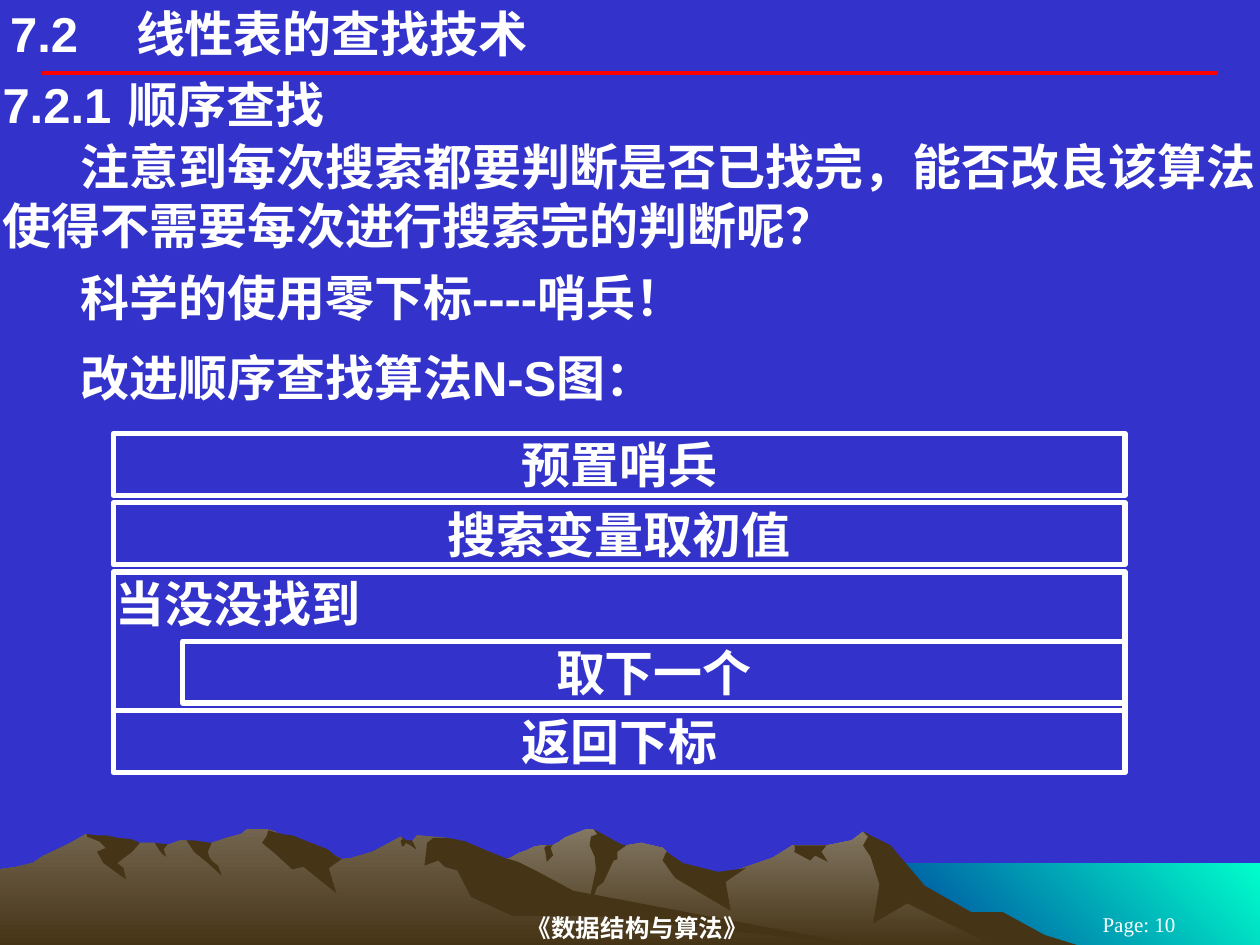
from dataclasses import dataclass

from lxml import etree
from pptx import Presentation
from pptx.dml.color import RGBColor
from pptx.enum.shapes import MSO_CONNECTOR, MSO_SHAPE
from pptx.enum.text import MSO_ANCHOR, MSO_AUTO_SIZE, PP_ALIGN
from pptx.oxml.ns import qn
from pptx.util import Inches, Pt

LEFT, CENTER = PP_ALIGN.LEFT, PP_ALIGN.CENTER
TOP, MIDDLE = MSO_ANCHOR.TOP, MSO_ANCHOR.MIDDLE
RECT, STRAIGHT = MSO_SHAPE.RECTANGLE, MSO_CONNECTOR.STRAIGHT
FIXED = MSO_AUTO_SIZE.NONE


@dataclass(frozen=True)
class Theme:
    back: str = "3333CC"
    text: str = "FFFFFF"
    rule: str = "FF0000"
    dark: str = "463416"
    far: tuple = ("837763", "463416")
    near: tuple = ("72644E", "463416")
    sea: tuple = ("00FFCC", "003399")
    sans: str = "Arial"
    serif: str = "Times New Roman"
    main: int = 28
    foot: int = 14
    page: int = 12


def rgb(code):
    return RGBColor.from_string(code)


class Deck:
    def __init__(self, theme):
        self.theme = theme
        self.file = Presentation()
        self.file.slide_width, self.file.slide_height = Inches(10), Inches(7.5)
        self.slide = self.file.slides.add_slide(self.file.slide_layouts[1])
        self.shapes = self.slide.shapes
        fill = self.slide.background.fill
        fill.solid()
        fill.fore_color.rgb = rgb(theme.back)

    def frame(self, shape, inset=(0.02, 0.01), anchor=TOP):
        frame = shape.text_frame
        frame.word_wrap = True
        frame.auto_size = FIXED
        frame.vertical_anchor = anchor
        frame.margin_left = frame.margin_right = Inches(inset[0])
        frame.margin_top = frame.margin_bottom = Inches(inset[1])
        return frame

    def style(self, para, text, align=LEFT, size=None, face=None, bold=True,
              before=0, indent=0, tab=None):
        para.text = text
        para.alignment = align
        para.line_spacing = 1.0
        para.space_before = Pt(before)
        props = para._p.get_or_add_pPr()
        props.set("marL", "0")
        props.set("indent", str(Inches(indent)))
        etree.SubElement(props, qn("a:buNone"))
        if tab:
            stops = etree.SubElement(props, qn("a:tabLst"))
            etree.SubElement(stops, qn("a:tab"), pos=str(Inches(tab)), algn="l")
        font = para.font
        font.size = Pt(size or self.theme.main)
        font.name = face or self.theme.sans
        font.bold = bold
        font.color.rgb = rgb(self.theme.text)

    def place(self, shape, *box):
        shape.left, shape.top, shape.width, shape.height = map(Inches, box)

    def title(self, text, box, tab):
        shape = self.shapes.title
        self.place(shape, *box)
        self.style(self.frame(shape, (0, 0)).paragraphs[0], text, tab=tab)

    def body(self, items, box):
        shape = self.slide.placeholders[1]
        self.place(shape, *box)
        frame = self.frame(shape)
        for i, (text, look) in enumerate(items):
            para = frame.add_paragraph() if i else frame.paragraphs[0]
            self.style(para, text, **look)

    def label(self, text, box, size, bold):
        shape = self.shapes.add_textbox(*map(Inches, box))
        frame = self.frame(shape, (0, 0.01), MIDDLE)
        self.style(frame.paragraphs[0], text, CENTER, size, self.theme.serif, bold)

    def block(self, text, box, align=CENTER):
        shape = self.shapes.add_shape(RECT, *map(Inches, box))
        shape.shadow.inherit = False
        shape.fill.background()
        shape.line.color.rgb = rgb(self.theme.text)
        shape.line.width = Pt(3)
        self.style(self.frame(shape).paragraphs[0], text, align)

    def rule(self, x1, x2, y):
        line = self.shapes.add_connector(STRAIGHT, *map(Inches, (x1, y, x2, y)))
        line.line.color.rgb = rgb(self.theme.rule)
        line.line.width = Pt(2.25)
        etree.SubElement(line._element.spPr, qn("a:effectLst"))

    def patch(self, points, paint, angle=270):
        """Outline in hundredths of an inch; two colours make a gradient."""
        pairs = [tuple(map(int, p.split(","))) for p in points.split()]
        form = self.shapes.build_freeform(*pairs[0], scale=Inches(0.01))
        form.add_line_segments(pairs[1:], close=True)
        shape = form.convert_to_shape()
        shape.shadow.inherit = False
        shape.line.fill.background()
        if isinstance(paint, str):
            shape.fill.solid()
            shape.fill.fore_color.rgb = rgb(paint)
        else:
            shape.fill.gradient()
            shape.fill.gradient_angle = angle
            for stop, code, spot in zip(shape.fill.gradient_stops, paint, (0, 1)):
                stop.color.rgb = rgb(code)
                stop.position = spot


SEA = "1000,752 683,752 683,685 1000,685"
FAR = """802,740 778,727 764,723 723,698 702,671 685,660 676,667 656,671 629,671
 613,681 566,697 536,690 529,676 526,673 509,669 497,671 486,673 474,661 471,658
 465,658 450,664 448,665 444,668 438,671 430,671 424,672 418,675 412,677 405,681
 399,683 394,685 355,698 327,709 277,739 258,751 821,751"""
FAR_SHADE = [
    """796,724 771,724 734,703 707,671 685,660 689,664 685,671 691,680 698,702
 693,733 720,717 792,752 858,751 829,742""",
    """471,658 474,662 469,664 468,671 472,680 473,690 465,727 474,704 479,700
 487,683 490,682 490,676 497,671 493,670""",
    "529,676 528,678 526,683 536,697 580,723 576,700 592,689 570,692 542,685",
    """650,671 630,671 631,672 631,675 630,676 643,683 647,679 657,684 652,676
 656,671""",
    "433,677 432,673 434,671 438,671 439,670 437,673 439,679 434,684",
]
NEAR = """690,751 667,748 432,712 354,665 331,663 327,668 323,668 318,664 296,676
 279,681 271,682 260,676 236,681 223,663 219,660 212,658 196,658 191,662 180,665
 168,669 160,671 148,667 143,667 132,671 128,671 123,669 111,669 94,671 68,662
 56,669 46,674 35,679 26,685 14,688 0,690 0,751"""
NEAR_SHADE = [
    """212,663 208,669 219,678 232,690 241,688 267,709 261,689 271,682 266,679
 260,674 252,671 232,663 224,662 213,659""",
    """370,668 361,666 354,665 344,665 339,669 337,687 348,683 353,688 363,691
 374,712 407,727 472,727 690,751 683,750 455,707 427,692 411,684 401,681 386,675""",
    """318,667 320,666 318,664 323,667 327,667 330,673 330,674 326,671 322,669
 321,671 319,672""",
    """154,667 161,668 168,669 165,676 166,680 169,684 173,687 176,695 165,685
 154,676 148,667""",
    "133,670 130,674 132,680 129,678 126,674 123,669",
    """109,668 111,669 105,676 93,685 98,689 100,698 82,685 77,676 84,673 79,668
 69,664 69,662 77,663 84,663 94,665 104,666""",
]


def main():
    theme = Theme()
    deck = Deck(theme)

    # Sea and mountains
    deck.patch(SEA, theme.sea, 225)
    for ridge, paint, shades in ((FAR, theme.far, FAR_SHADE),
                                 (NEAR, theme.near, NEAR_SHADE)):
        deck.patch(ridge, paint)
        for shade in shades:
            deck.patch(shade, theme.dark)

    # Rule and footer
    deck.rule(0.33, 9.67, 0.58)
    deck.label("《数据结构与算法》", (2.03, 7.22, 6.06, 0.28), theme.foot, True)
    deck.label("Page: 10", (8.25, 7.25, 1.58, 0.17), theme.page, False)

    # Heading and text
    deck.title("7.2\t线性表的查找技术", (0.08, 0.03, 6.5, 0.47), 0.85)
    deck.body([
        ("7.2.1\t顺序查找", dict(tab=1.27)),
        ("注意到每次搜索都要判断是否已找完，能否改良该算法使得不需要每次进行搜索完的判断呢？",
         dict(indent=0.62, before=2)),
        ("科学的使用零下标----哨兵！", dict(indent=0.62, before=7.5)),
        ("改进顺序查找算法N-S图：", dict(indent=0.62, before=12)),
    ], (0, 0.58, 10, 2.64))

    # N-S chart: equal rows, the loop spans two of them
    left, top, wide, high, step, inner = 0.9, 3.44, 8.03, 0.49, 0.55, 0.55
    rows = [top + i * step for i in range(5)]
    deck.block("预置哨兵", (left, rows[0], wide, high))
    deck.block("搜索变量取初值", (left, rows[1], wide, high))
    deck.block("当没没找到", (left, rows[2], wide, 2 * step), LEFT)
    deck.block("取下一个", (left + inner, rows[3], wide - inner, high))
    deck.block("返回下标", (left, rows[4], wide, high))

    deck.file.save("out.pptx")


if __name__ == "__main__":
    main()
